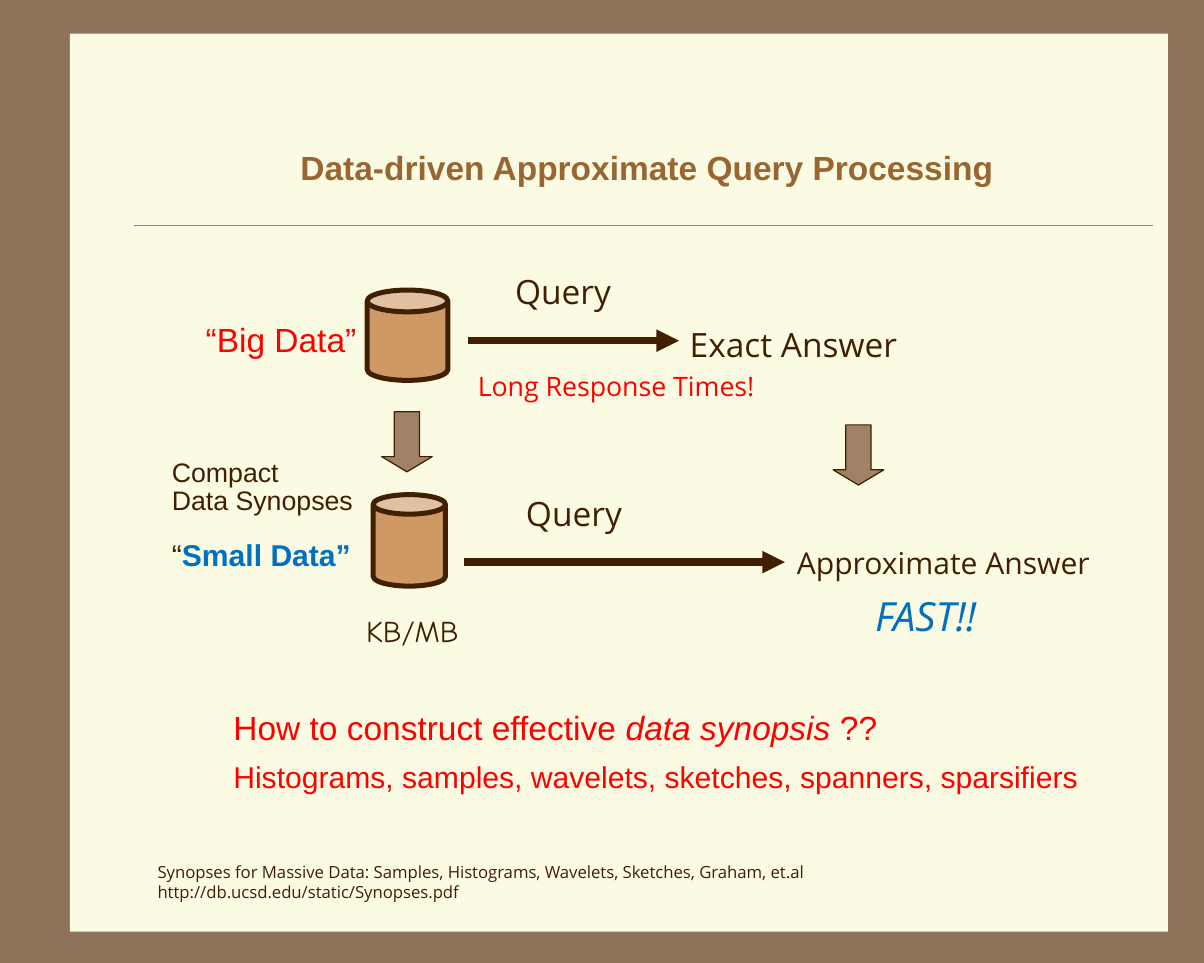
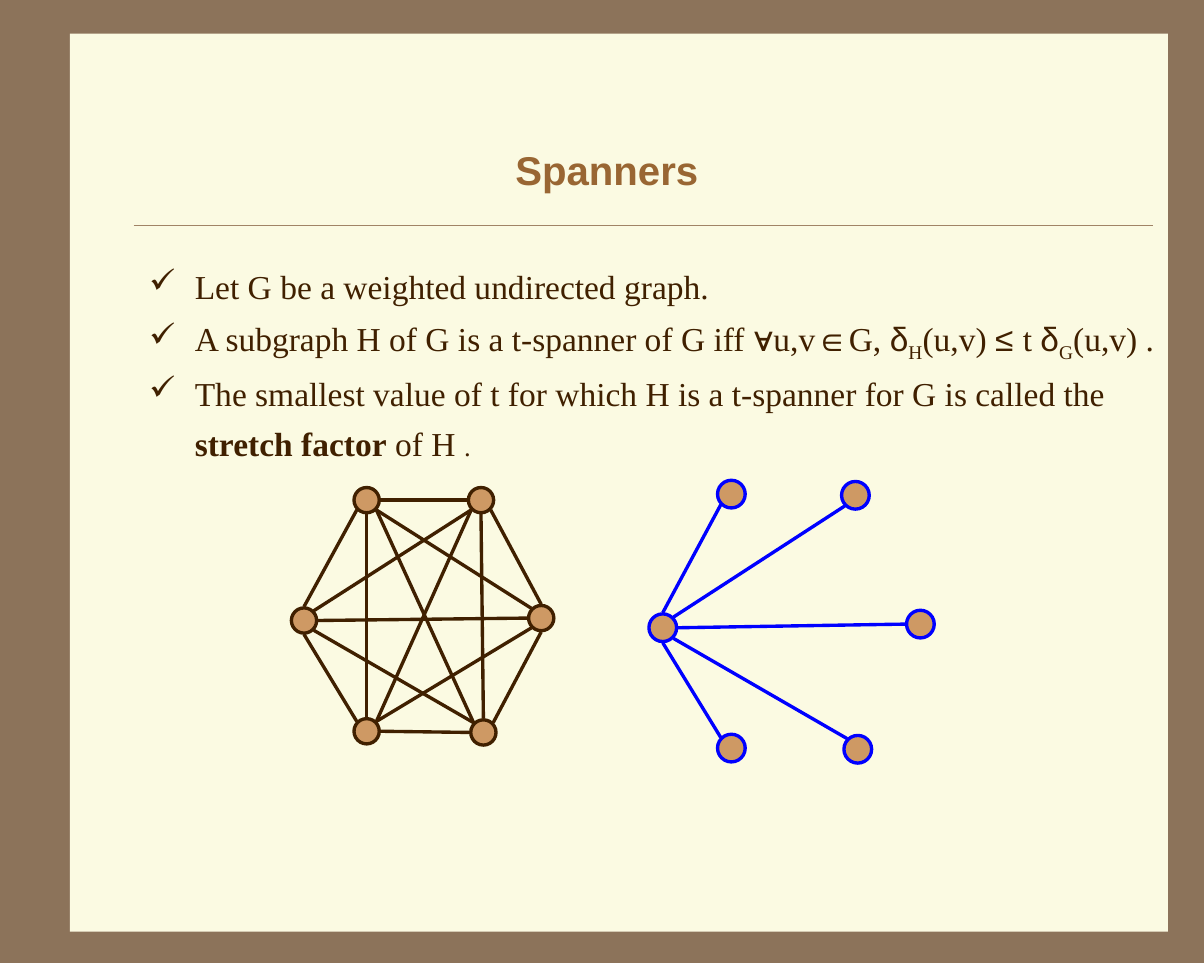
import math

import pptx
import pptx.dml.color
import pptx.enum.shapes
import pptx.enum.text
import pptx.oxml.ns
import pptx.util
from lxml import etree
from pptx.util import Inches

SHAPE = pptx.enum.shapes.MSO_SHAPE
STRAIGHT = pptx.enum.shapes.MSO_CONNECTOR.STRAIGHT
MIDDLE = pptx.enum.text.MSO_ANCHOR.MIDDLE
CENTER = pptx.enum.text.PP_ALIGN.CENTER
qn = pptx.oxml.ns.qn


class Theme:
    frame, panel, rule = "8C735A", "FBFAE2", "A08366"
    title, ink, tan = "996633", "402000", "CE9964"
    red, blue, spanner = "FF0000", "0070C0", "0000FF"
    sans, label, serif, hand = "Arial", "Open Sans", "Times New Roman", "Comic Neue"
    note, small, medium, large, huge = (pptx.util.Pt(n) for n in (10, 16, 18, 20, 24))


def style(drawn, line=None, width=0, fill=None, arrow=False):
    """Colour a shape or connector and remove its shadow."""
    if fill:
        drawn.fill.solid()
        drawn.fill.fore_color.rgb = pptx.dml.color.RGBColor.from_string(fill)
    if line:
        drawn.line.color.rgb = pptx.dml.color.RGBColor.from_string(line)
        drawn.line.width = pptx.util.Pt(width)
    else:
        drawn.line.fill.background()
    if arrow:
        etree.SubElement(drawn.line._get_or_add_ln(), qn("a:tailEnd"), type="triangle")
    etree.SubElement(drawn._element.spPr, qn("a:effectLst"))


def add_text(slide, box, paragraphs, font, anchor=None, wrap=True, bullet=None):
    """Each paragraph is (paragraph format, [(text, changes to font), ...])."""
    frame = slide.shapes.add_textbox(*map(Inches, box)).text_frame
    frame.word_wrap = wrap
    if anchor is not None:
        frame.vertical_anchor = anchor
    for index, (layout, runs) in enumerate(paragraphs):
        paragraph = frame.add_paragraph() if index else frame.paragraphs[0]
        for attribute, value in layout.items():
            setattr(paragraph, attribute, value)
        if bullet:
            properties = paragraph._p.get_or_add_pPr()
            properties.set("marL", str(Inches(0.38)))
            properties.set("indent", str(-Inches(0.38)))
            colour = etree.SubElement(properties, qn("a:buClr"))
            etree.SubElement(colour, qn("a:srgbClr"), val=font["color"])
            etree.SubElement(properties, qn("a:buChar"), char=bullet)
        for text, changes in runs:
            run = paragraph.add_run()
            run.text = text
            for attribute, value in {**font, **changes}.items():
                if attribute == "color":
                    run.font.color.rgb = pptx.dml.color.RGBColor.from_string(value)
                elif attribute == "baseline":
                    run.font._element.set("baseline", str(value))
                else:
                    setattr(run.font, attribute, value)


prs = pptx.Presentation()
prs.slide_width, prs.slide_height = Inches(10), Inches(8)
background = prs.slide_master.background.fill
background.solid()
background.fore_color.rgb = pptx.dml.color.RGBColor.from_string(Theme.frame)

# Shared panel, rule and title
slides = []
for title, box, size in [
    ("Data-driven Approximate Query Processing", (0.75, 0.85, 9.25, 1.08), Theme.large),
    ("Spanners", (0.28, 0.78, 9.52, 1.25), Theme.huge),
]:
    slide = prs.slides.add_slide(prs.slide_layouts[6])
    panel = slide.shapes.add_shape(SHAPE.RECTANGLE, *map(Inches, (0.58, 0.28, 9.12, 7.46)))
    style(panel, fill=Theme.panel)
    rule = slide.shapes.add_connector(STRAIGHT, *map(Inches, (1.11, 1.87, 9.58, 1.87)))
    style(rule, Theme.rule, 0.25)
    title_font = dict(name=Theme.sans, size=size, color=Theme.title, bold=True)
    add_text(slide, box, [({"alignment": CENTER}, [(title, {})])], title_font, MIDDLE)
    slides.append(slide)
query_slide, spanner_slide = slides

# Databases and down arrows
for kind, box, adjustments, fill, width in [
    (SHAPE.CAN, (3.05, 2.41, 0.67, 0.75), [0.27], Theme.tan, 3),
    (SHAPE.CAN, (3.1, 4.11, 0.6, 0.76), [0.27], Theme.tan, 3),
    (SHAPE.DOWN_ARROW, (3.17, 3.42, 0.42, 0.5), [0.5, 0.3], Theme.rule, 0.75),
    (SHAPE.DOWN_ARROW, (6.92, 3.53, 0.42, 0.5), [0.5, 0.3], Theme.rule, 0.75),
]:
    step = query_slide.shapes.add_shape(kind, *map(Inches, box))
    for index, value in enumerate(adjustments):
        step.adjustments[index] = value
    style(step, Theme.ink, width, fill)

# Query arrows
for left, right, y in [(3.89, 5.64, 2.83), (3.85, 6.52, 4.67)]:
    query_arrow = query_slide.shapes.add_connector(STRAIGHT, *map(Inches, (left, y, right, y)))
    style(query_arrow, Theme.ink, 4.5, arrow=True)

# Labels beside the arrows
for text, box, changes in [
    ("Query", (4.18, 2.2, 2.33, 0.43), {}),
    ("Exact Answer", (5.63, 2.64, 3, 0.43), {}),
    ("Long Response Times!", (3.87, 3.02, 5.17, 0.36), dict(size=Theme.small, color=Theme.red)),
    ("Query", (4.27, 4.05, 3.42, 0.43), {}),
    ("Approximate Answer", (6.52, 4.47, 3.42, 0.4), dict(size=Theme.medium)),
    ("FAST!!", (7.17, 4.86, 2.67, 0.5), dict(size=Theme.huge, color=Theme.blue, italic=True)),
    ("Synopses for Massive Data: Samples, Histograms, Wavelets, Sketches, Graham, et.al "
     "http://db.ucsd.edu/static/Synopses.pdf", (1.21, 7.11, 7.11, 0.44), dict(size=Theme.note)),
]:
    label_font = dict(name=Theme.label, size=Theme.large, color=Theme.ink)
    add_text(query_slide, box, [({}, [(text, changes)])], label_font)

# Names of the databases
tight = {"line_spacing": 0.85}
add_text(query_slide, (1.61, 2.18, 1.83, 1.33), [(tight, [("“Big Data”", {})])],
         dict(name=Theme.sans, size=Theme.large, color=Theme.red), MIDDLE)
add_text(query_slide, (1.33, 3.63, 1.83, 1.33), [
    (tight, [("Compact", {})]),
    (tight, [("Data Synopses", {})]),
    ({**tight, "space_before": Theme.small}, [
        ("“", dict(size=Theme.medium)),
        ("Small Data”", dict(size=Theme.medium, color=Theme.blue, bold=True)),
    ]),
], dict(name=Theme.sans, size=Theme.small, color=Theme.ink), MIDDLE)
add_text(query_slide, (2.94, 5.04, 0.97, 0.4), [({"alignment": CENTER}, [("KB/MB", {})])],
         dict(name=Theme.hand, size=Theme.medium, color=Theme.ink), MIDDLE, wrap=False)

# Closing question
add_text(query_slide, (1.84, 5.79, 8.1, 0.92), [
    ({"line_spacing": 1.1}, [
        ("How to construct effective ", {}),
        ("data synopsis ", dict(italic=True)),
        ("??", {}),
    ]),
    ({"line_spacing": 1.1, "space_before": pptx.util.Pt(4.5)}, [
        ("Histograms, samples, wavelets, sketches, spanners, sparsifiers",
         dict(size=Theme.medium)),
    ]),
], dict(name=Theme.sans, size=Theme.large, color=Theme.red))

# Definition of a spanner
loose = {"line_spacing": 1.25}
symbol = dict(name=Theme.sans)
subscript = dict(baseline=-25000)
add_text(spanner_slide, (1.14, 2.08, 8.64, 2.16), [
    (loose, [("Let G be a weighted undirected graph.", {})]),
    (loose, [
        ("A subgraph H of G is a t-spanner of G iff ", {}), ("∀", symbol), ("u,v", {}),
        ("∈", symbol), ("G, ", {}), ("δ", symbol), ("H", subscript), ("(u,v) ", {}),
        ("≤ ", symbol), ("t ", {}), ("δ", symbol), ("G", subscript), ("(u,v) .", {}),
    ]),
    (loose, [
        ("The smallest value of t for which H is a t-spanner for G is called the ", {}),
        ("stretch factor", dict(bold=True)), (" of H ", {}), (".", dict(size=Theme.small)),
    ]),
], dict(name=Theme.serif, size=Theme.large, color=Theme.ink), bullet="✓")

# Complete graph: each edge names its nodes and the compass side where it meets them
edges = [
    ("UL", "SW", "L", "N"), ("L", "S", "DL", "NW"), ("UL", "E", "UR", "W"),
    ("UR", "SE", "R", "N"), ("R", "S", "DR", "NE"), ("DL", "E", "DR", "W"),
    ("UL", "SE", "DR", "NW"), ("UR", "SW", "DL", "NE"), ("L", "E", "R", "W"),
    ("L", "NE", "UR", "SW"), ("L", "SE", "DR", "NW"), ("UL", "S", "DL", "N"),
    ("UL", "SE", "R", "NW"), ("UR", "S", "DR", "N"), ("R", "SW", "DL", "NE"),
]
complete_nodes = {"UR": (3.89, 4.05), "UL": (2.94, 4.05), "R": (4.39, 5.03),
                  "L": (2.42, 5.05), "DL": (2.94, 5.97), "DR": (3.91, 5.98)}

# Its spanner keeps only the edges at the left node
star_edges = [edge for edge in edges if "L" in edge]
star_nodes = {"UR": (6.99, 4), "UL": (5.96, 3.99), "R": (7.53, 5.07),
              "L": (5.39, 5.1), "DL": (5.96, 6.1), "DR": (7.01, 6.11)}

for nodes, links, diameter, colour in [
    (complete_nodes, edges, 0.21, Theme.ink),
    (star_nodes, star_edges, 0.23, Theme.spanner),
]:
    for left, top in nodes.values():
        node = spanner_slide.shapes.add_shape(
            SHAPE.OVAL, *map(Inches, (left, top, diameter, diameter)))
        style(node, colour, 2, Theme.tan)
    reach = diameter / 2 + 0.01
    for start, start_side, end, end_side in links:
        ends = []
        for name, side in [(start, start_side), (end, end_side)]:
            across = ("E" in side) - ("W" in side)
            down = ("S" in side) - ("N" in side)
            scale = reach / math.hypot(across, down)
            left, top = nodes[name]
            ends += [left + diameter / 2 + across * scale, top + diameter / 2 + down * scale]
        link = spanner_slide.shapes.add_connector(STRAIGHT, *map(Inches, ends))
        style(link, colour, 2)

prs.save("out.pptx")
